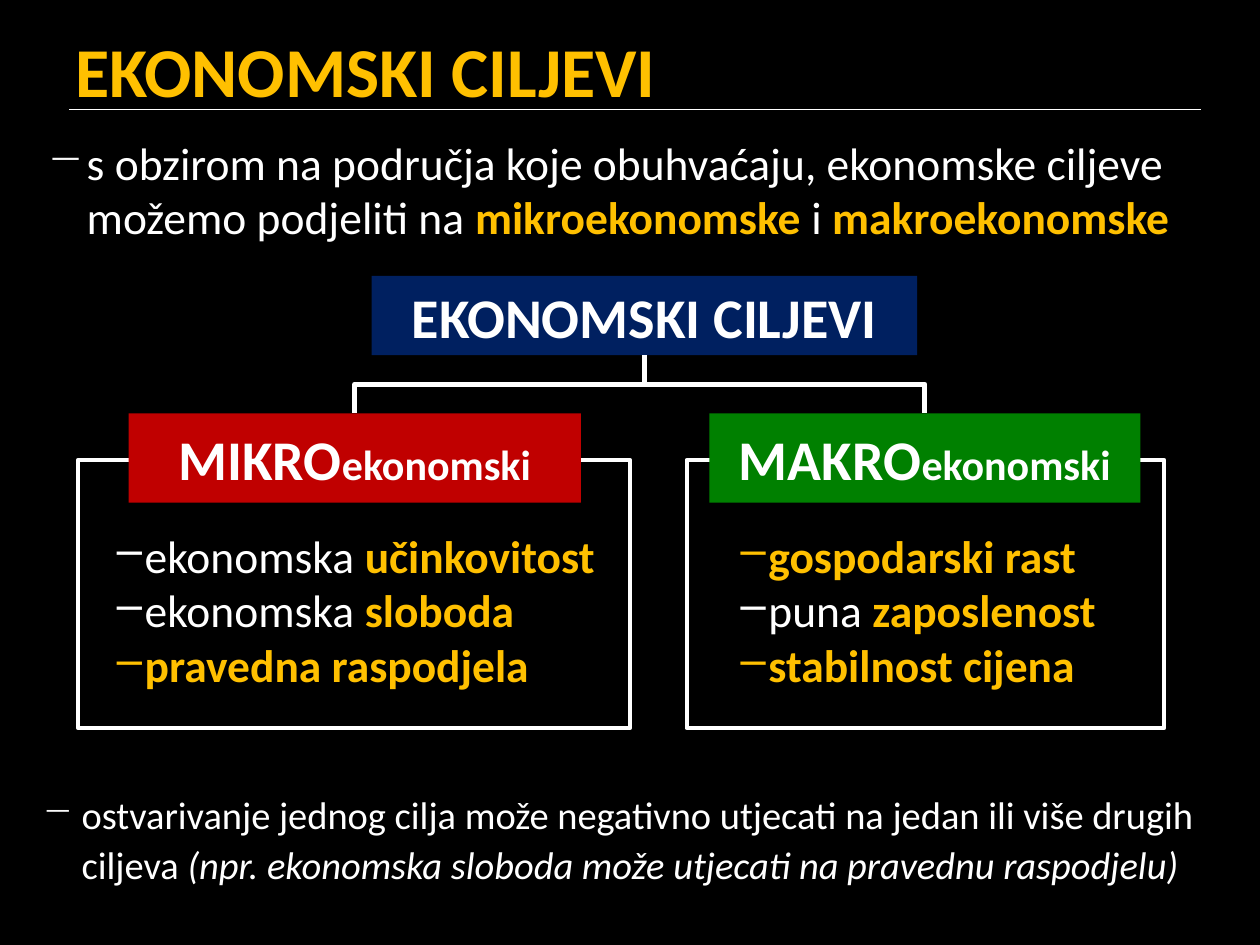
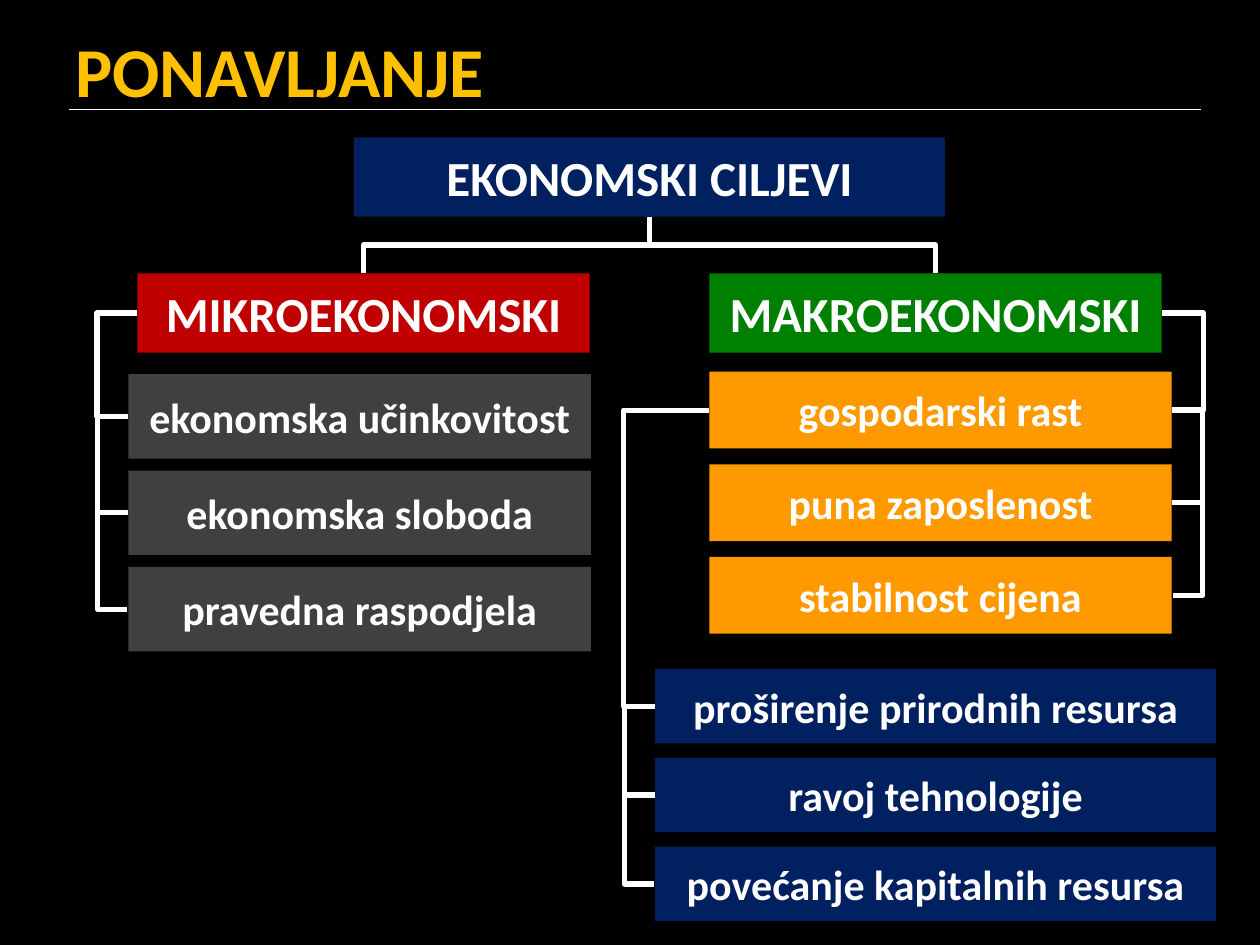
from lxml import etree
from pptx import Presentation
from pptx.dml.color import RGBColor
from pptx.enum.shapes import MSO_CONNECTOR, MSO_SHAPE
from pptx.enum.text import MSO_ANCHOR, PP_ALIGN
from pptx.oxml.ns import qn
from pptx.util import Inches, Pt

STRAIGHT, ELBOW = MSO_CONNECTOR.STRAIGHT, MSO_CONNECTOR.ELBOW
RECTANGLE = MSO_SHAPE.RECTANGLE
MIDDLE, CENTER = MSO_ANCHOR.MIDDLE, PP_ALIGN.CENTER
TOP, LEFT, BOTTOM, RIGHT = range(4)  # connection sites of a rectangle

BLACK = RGBColor(0x00, 0x00, 0x00)
WHITE = RGBColor(0xFF, 0xFF, 0xFF)
OFF_WHITE = RGBColor(0xF9, 0xF9, 0xF9)
GOLD = RGBColor(0xFF, 0xC0, 0x00)
RED = RGBColor(0xC0, 0x00, 0x00)
NAVY = RGBColor(0x00, 0x20, 0x60)
GREEN = RGBColor(0x00, 0x80, 0x00)
GRAY = RGBColor(0x40, 0x40, 0x40)
ORANGE = RGBColor(0xFF, 0x99, 0x00)

# Text formats
PLAIN = {"size": 26, "color": WHITE}
STRONG = {"size": 26, "color": GOLD, "bold": True}
TITLE = {"size": 40, "color": GOLD, "bold": True}
NOTE = {"size": 22, "color": WHITE}
NOTE_ITALIC = {**NOTE, "italic": True}
LABEL_32, LABEL_28, LABEL_24 = (
    {"size": size, "color": WHITE, "bold": True} for size in (32, 28, 24))

# Content: areas are left, top, width, height in inches
TITLE_AREA = (0.5, 0.08, 9.19, 0.95)
RULE = (0.55, 0.87, 9.53, 0.87)

INTRO = [("s obzirom na područja koje obuhvaćaju, ekonomske ciljeve možemo podjeliti na ", PLAIN),
         ("mikroekonomske", STRONG), (" i ", PLAIN), ("makroekonomske", STRONG)]
REMARK = [("ostvarivanje jednog cilja može negativno utjecati na jedan ili više drugih ciljeva ", NOTE),
          ("(npr. ekonomska sloboda može utjecati na pravednu raspodjelu)", NOTE_ITALIC)]

GOALS_ROOT = ((2.95, 2.19, 4.33, 0.63), "EKONOMSKI CILJEVI")
GOALS_BRANCHES = [
    {"prefix": "MIKRO", "fill": RED, "head": (1.02, 3.28, 3.59, 0.71),
     "frame": (0.62, 3.65, 4.38, 2.13), "list": (0.83, 4.14, 4.14, 1.41),
     "goals": [[("ekonomska ", PLAIN), ("učinkovitost", STRONG)],
               [("ekonomska ", PLAIN), ("sloboda", STRONG)],
               [("pravedna raspodjela", STRONG)]]},
    {"prefix": "MAKRO", "fill": GREEN, "head": (5.63, 3.28, 3.42, 0.71),
     "frame": (5.45, 3.65, 3.79, 2.13), "list": (5.78, 4.14, 3.59, 1.41),
     "goals": [[("gospodarski rast", STRONG)],
               [("puna ", PLAIN), ("zaposlenost", STRONG)],
               [("stabilnost cijena", STRONG)]]},
]

REVIEW_HEADS = {
    "root": ("EKONOMSKI CILJEVI", (2.81, 1.09, 4.69, 0.63), NAVY),
    "micro": ("MIKROEKONOMSKI", (1.09, 2.17, 3.59, 0.63), RED),
    "macro": ("MAKROEKONOMSKI", (5.63, 2.17, 3.59, 0.63), GREEN),
}
# Stacks hang from a parent along a vertical rail: first area, row pitch
REVIEW_STACKS = [
    {"parent": "micro", "side": LEFT, "rail": 0.77, "fill": GRAY,
     "first": (1.02, 2.97, 3.67, 0.67), "pitch": 0.765,
     "items": ["ekonomska učinkovitost", "ekonomska sloboda", "pravedna raspodjela"]},
    {"parent": "macro", "side": RIGHT, "rail": 9.55, "fill": ORANGE,
     "first": (5.63, 2.95, 3.67, 0.61), "pitch": 0.735,
     "items": ["gospodarski rast", "puna zaposlenost", "stabilnost cijena"]},
    {"parent": "gospodarski rast", "side": LEFT, "rail": 4.95, "fill": NAVY,
     "first": (5.2, 5.31, 4.45, 0.59), "pitch": 0.705,
     "items": ["proširenje prirodnih resursa", "ravoj tehnologije",
               "povećanje kapitalnih resursa"]},
]


def inches(values):
    return [Inches(value) for value in values]


# Text
def add_spans(para, spans):
    for text, style in spans:
        span = para.add_run()
        span.text = text
        span.font.name = "Calibri"
        for name, value in style.items():
            if name == "color":
                span.font.color.rgb = value
            else:
                setattr(span.font, name, Pt(value) if name == "size" else value)


def add_bullet(para, char, margin, color=None):
    props = para._p.get_or_add_pPr()
    props.set("marL", str(Inches(margin)))
    props.set("indent", str(Inches(-0.31)))
    if color is not None:
        holder = etree.SubElement(props, qn("a:buClr"))
        etree.SubElement(holder, qn("a:srgbClr")).set("val", str(color))
    etree.SubElement(props, qn("a:buChar")).set("char", char)


def add_text(page, area, paragraphs, bullet=None, anchor=None, spacing=None):
    frame = page.shapes.add_textbox(*inches(area)).text_frame
    frame.word_wrap = True
    if anchor is not None:
        frame.vertical_anchor = anchor
    for index, spans in enumerate(paragraphs):
        para = frame.add_paragraph() if index else frame.paragraphs[0]
        if bullet:
            add_bullet(para, *bullet)
        if spacing:
            para.line_spacing = Pt(spacing)
        add_spans(para, spans)


# Boxes and lines
def add_box(page, area, spans=(), fill=None):
    box = page.shapes.add_shape(RECTANGLE, *inches(area))
    box.shadow.inherit = False
    if fill is None:
        box.fill.background()
        box.line.color.rgb = WHITE
        box.line.width = Pt(2.25)
    else:
        box.fill.solid()
        box.fill.fore_color.rgb = fill
        box.line.fill.background()
    frame = box.text_frame
    frame.word_wrap = True
    frame.vertical_anchor = MIDDLE
    frame.paragraphs[0].alignment = CENTER
    add_spans(frame.paragraphs[0], spans)
    return box


def add_line(page, kind, ends, width):
    line = page.shapes.add_connector(kind, *ends)
    line.line.color.rgb = WHITE
    line.line.width = Pt(width)
    etree.SubElement(line._element.spPr, qn("a:effectLst"))
    return line


def link(page, parent, child, sites):
    line = add_line(page, ELBOW, (0, 0, 0, 0), 3)
    line.begin_connect(parent, sites[0])
    line.end_connect(child, sites[1])
    return line


def link_down(page, parent, child):
    """Elbow that leaves the parent downwards: a turned and swapped frame."""
    line = link(page, parent, child, (BOTTOM, TOP))
    goes_right = line.end_x > line.begin_x
    across, down = line.width, line.height
    line.left += (across - down) // 2
    line.top += (down - across) // 2
    line.width, line.height = down, across
    frame = line._element.spPr.find(qn("a:xfrm"))
    frame.set("rot", str((270 if goes_right else 90) * 60000))
    frame.set("flipH", "1" if goes_right else "0")


def link_rail(page, parent, child, side, rail):
    """Elbow between two equal sides that runs along a rail beside them."""
    line = link(page, parent, child, (side, side))
    if line.begin_x == line.end_x:
        line.end_x += Inches(0.01 if side == RIGHT else -0.01)
    share = (Inches(rail) - line.begin_x) / (line.end_x - line.begin_x)
    geometry = line._element.spPr.find(qn("a:prstGeom"))
    guides = geometry.find(qn("a:avLst"))
    if guides is None:
        guides = etree.SubElement(geometry, qn("a:avLst"))
    guide = etree.SubElement(guides, qn("a:gd"))
    guide.set("name", "adj1")
    guide.set("fmla", f"val {round(share * 100000)}")


# Pages
def add_page(deck, title):
    page = deck.slides.add_slide(deck.slide_layouts[6])
    add_line(page, STRAIGHT, inches(RULE), 1)
    add_text(page, TITLE_AREA, [[(title, TITLE)]], anchor=MIDDLE)
    return page


def build_goals(deck):
    page = add_page(deck, "EKONOMSKI CILJEVI")
    add_text(page, (0, 1.02, 10, 0.94), [INTRO], ("−", 0.59, OFF_WHITE))
    area, label = GOALS_ROOT
    root = add_box(page, area, [(label, LABEL_32)], NAVY)
    for branch in GOALS_BRANCHES:
        add_box(page, branch["frame"])
        label = [(branch["prefix"], LABEL_32), ("ekonomski", LABEL_24)]
        head = add_box(page, branch["head"], label, branch["fill"])
        link_down(page, root, head)
        add_text(page, branch["list"], branch["goals"], ("–", 0.22))
    add_text(page, (0, 6.19, 10, 0.94), [REMARK], ("−", 0.55, OFF_WHITE), spacing=29)


def build_review(deck):
    page = add_page(deck, "PONAVLJANJE")
    boxes = {name: add_box(page, area, [(label, LABEL_28)], fill)
             for name, (label, area, fill) in REVIEW_HEADS.items()}
    for name in ("micro", "macro"):
        link_down(page, boxes["root"], boxes[name])
    for stack in REVIEW_STACKS:
        above = boxes[stack["parent"]]
        left, top, width, height = stack["first"]
        for row, item in enumerate(stack["items"]):
            area = (left, top + row * stack["pitch"], width, height)
            boxes[item] = add_box(page, area, [(item, LABEL_24)], stack["fill"])
            link_rail(page, above, boxes[item], stack["side"], stack["rail"])
            above = boxes[item]


def main():
    deck = Presentation()
    deck.slide_width, deck.slide_height = Inches(10), Inches(7.5)
    backdrop = deck.slide_master.background.fill
    backdrop.solid()
    backdrop.fore_color.rgb = BLACK
    build_goals(deck)
    build_review(deck)
    deck.save("out.pptx")


if __name__ == "__main__":
    main()
